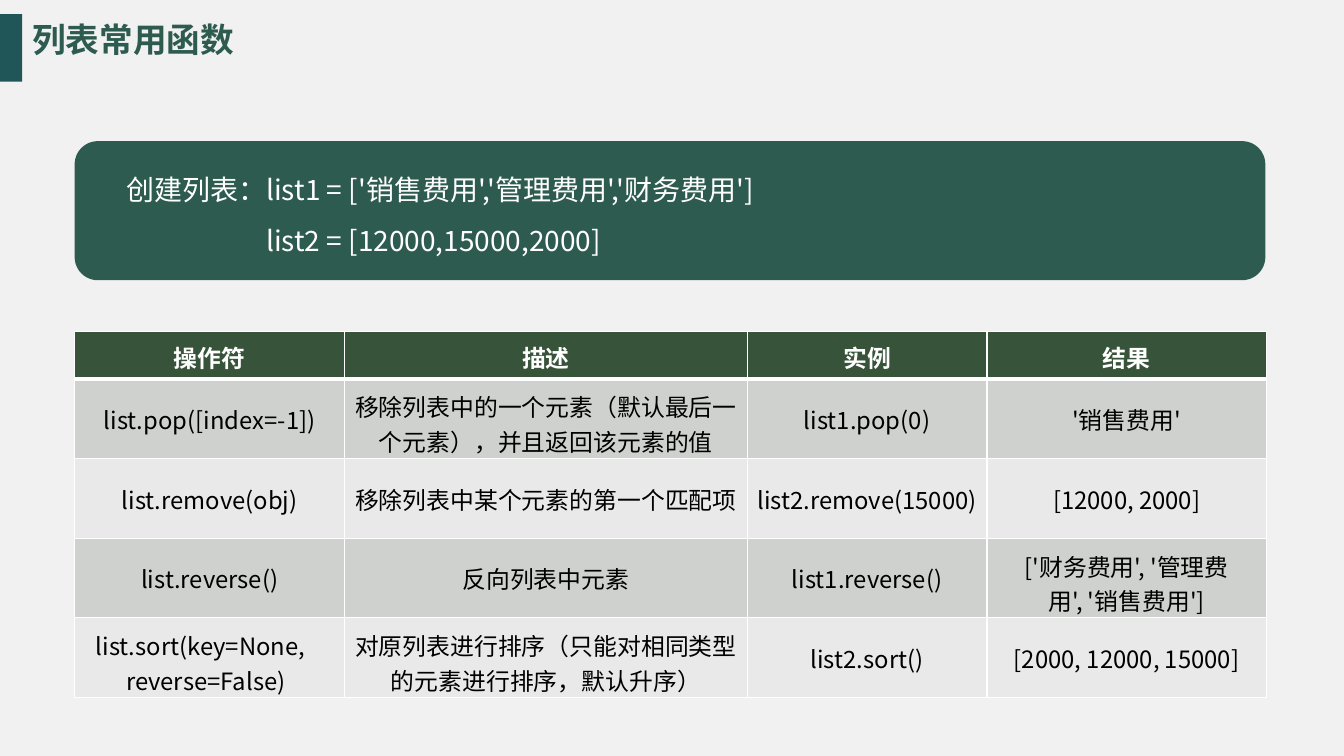
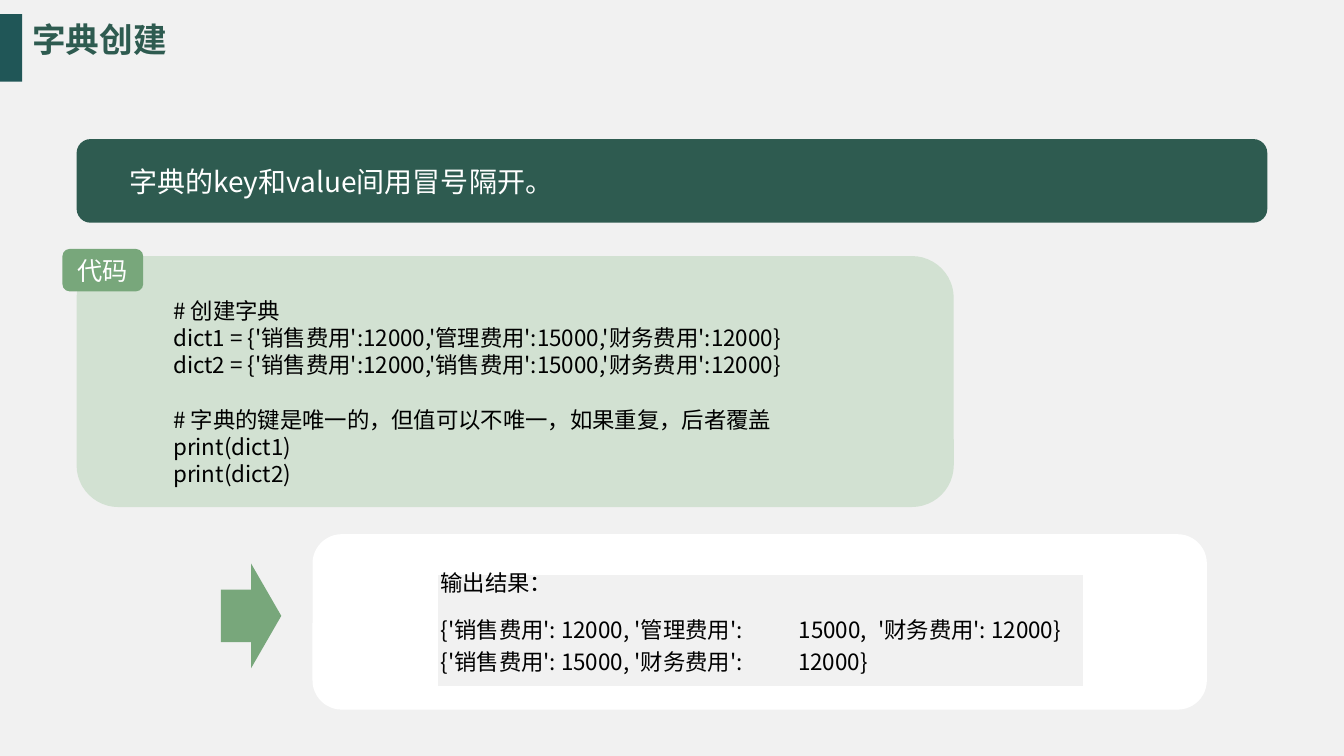
from lxml.etree import SubElement
from pptx import Presentation
from pptx.dml.color import RGBColor
from pptx.enum.shapes import MSO_SHAPE as Shape
from pptx.enum.text import MSO_ANCHOR as Anchor, PP_ALIGN as Align
from pptx.oxml.ns import qn
from pptx.util import Emu, Pt

# Shared look: 100 px to the inch
FONT = "Noto Sans CJK SC"
PAPER, BAR, PINE = "F1F1F1", "205657", "2E5B50"
LEAF, MINT, WHITE, BLACK = "78A77B", "D2E1D2", "FFFFFF", "000000"
HEAD, ODD, EVEN = "375339", "CED1CE", "E8E9E8"
PLAIN = "{2D5ABB26-0587-4C30-8999-92F81FD0307C}"
CORNER = 0.0488  # text inset of a rounded box, as a share of its height

# Slide 1 content
LISTS = {
    "title": "列表常用函数",
    "intro": "创建列表：list1 = ['销售费用','管理费用','财务费用']\n"
             "list2 = [12000,15000,2000]",
    "cols": [268, 399, 238, 277],
    "rows": [47, 79, 79, 79, 79],
    "cells": [
        ["操作符", "描述", "实例", "结果"],
        ["list.pop([index=-1])",
         "移除列表中的一个元素（默认最后一\n个元素），并且返回该元素的值",
         "list1.pop(0)", "'销售费用'"],
        ["list.remove(obj)", "移除列表中某个元素的第一个匹配项",
         "list2.remove(15000)", "[12000, 2000]"],
        ["list.reverse()", "反向列表中元素", "list1.reverse()",
         "['财务费用', '管理费\n用', '销售费用']"],
        ["list.sort(key=None,\nreverse=False)",
         "对原列表进行排序（只能对相同类型\n的元素进行排序，默认升序）",
         "list2.sort()", "[2000, 12000, 15000]"],
    ],
    "hang": {(4, 0): (21, 51)},
}

# Slide 2 content
DICTS = {
    "title": "字典创建",
    "intro": "字典的key和value间用冒号隔开。",
    "tag": "代码",
    "code": [
        "# 创建字典\n"
        "dict1 = {'销售费用':12000,'管理费用':15000,'财务费用':12000}\n"
        "dict2 = {'销售费用':12000,'销售费用':15000,'财务费用':12000}",
        "# 字典的键是唯一的，但值可以不唯一，如果重复，后者覆盖\n"
        "print(dict1)\n"
        "print(dict2)",
    ],
    "cols": [353, 78, 209],
    "rows": [31, 40, 31],
    "leads": [16.9, None, 17.2],
    "cells": [
        ["输出结果：", "", ""],
        ["{'销售费用': 12000, '管理费用':", "15000,", "'财务费用': 12000}"],
        ["{'销售费用': 15000, '财务费用':", "12000}", ""],
    ],
}


def px(n):
    return Emu(round(n * 9144))


def rgb(code):
    return RGBColor.from_string(code)


def inset(box, left=0, top=0):
    box.margin_left, box.margin_top = px(left), px(top)
    box.margin_right = box.margin_bottom = 0


def write(frame, text, size, color, bold=False, align=Align.LEFT,
          lead=None, lefts=()):
    """Fill a frame; lefts holds one indent for each paragraph."""
    frame.text = text
    for i, para in enumerate(frame.paragraphs):
        para.alignment = align
        if lead:
            para.line_spacing = Pt(lead)
        if lefts:
            ppr = para._p.get_or_add_pPr()
            ppr.set("marL", str(px(lefts[i])))
            ppr.set("indent", "0")
        font = para.font
        font.size, font.bold, font.name = Pt(size), bold, FONT
        font.color.rgb = rgb(color)
        props = para._p.pPr.find(qn("a:defRPr"))
        SubElement(props, qn("a:ea")).set("typeface", FONT)


def block(slide, kind, at, fill):
    shape = slide.shapes.add_shape(kind, *map(px, at))
    shape.shadow.inherit = False
    shape.fill.solid()
    shape.fill.fore_color.rgb = rgb(fill)
    shape.line.fill.background()
    return shape


def panel(slide, at, fill, text="", size=20, color=WHITE, pad=(0, 0), **look):
    """Rounded box with its text at pad from the top left corner."""
    shape = block(slide, Shape.ROUNDED_RECTANGLE, at, fill)
    if text:
        frame, trim = shape.text_frame, at[3] * CORNER
        frame.word_wrap = True
        frame.vertical_anchor = Anchor.TOP
        inset(frame, pad[0] - trim, pad[1] - trim)
        write(frame, text, size, color, **look)
    return shape


def grid(slide, left, top, data):
    """Unstyled table; returns it for the caller to fill."""
    cols, rows = data["cols"], data["rows"]
    size = left, top, sum(cols), sum(rows)
    table = slide.shapes.add_table(len(rows), len(cols),
                                   *map(px, size)).table
    table._tbl.tblPr.find(qn("a:tableStyleId")).text = PLAIN
    for col, width in zip(table.columns, cols):
        col.width = px(width)
    for row, height in zip(table.rows, rows):
        row.height = px(height)
    return table


def paint(cell, fill):
    cell.fill.solid()
    cell.fill.fore_color.rgb = rgb(fill)


def edge(cell, **widths):
    """White borders, widths in points by side."""
    props = cell._tc.get_or_add_tcPr()
    for side in "LRTB":
        line = SubElement(props, qn(f"a:ln{side}"))
        line.set("w", str(Pt(widths.get(side, 1))))
        ink = SubElement(line, qn("a:solidFill"))
        SubElement(ink, qn("a:srgbClr")).set("val", WHITE)


def page(deck, layout, title):
    slide = deck.slides.add_slide(layout)
    head = slide.shapes.title
    frame = head.text_frame
    frame.vertical_anchor = Anchor.TOP
    inset(frame)
    write(frame, title, 24, PINE, bold=True)
    return slide


def lists(slide, data):
    panel(slide, (74, 140, 1181, 138), PINE, data["intro"],
          pad=(51, 14), lead=36.4, lefts=(0, 139))
    table = grid(slide, 74, 329, data)
    for r, row in enumerate(data["cells"]):
        fill = HEAD if r == 0 else ODD if r % 2 else EVEN
        for c, text in enumerate(row):
            cell = table.cell(r, c)
            edge(cell, B=1 if r else 3, T=3 if r == 1 else 1)
            paint(cell, fill)
            inset(cell, top=3 if r == 0 else 10 if "\n" in text else 1)
            cell.vertical_anchor = Anchor.MIDDLE
            hang = data["hang"].get((r, c), ())
            write(cell.text_frame, text, 17, BLACK if r else WHITE,
                  bold=r == 0, lefts=hang,
                  align=Align.LEFT if hang else Align.CENTER)


def dicts(slide, data):
    panel(slide, (76, 138, 1181, 83), PINE, data["intro"], pad=(52, 25))

    # Code panel: a gap of one line parts the two halves
    code = panel(slide, (76, 254, 870, 249), MINT, "\n".join(data["code"]),
                 16, BLACK, pad=(96, 41), lead=19.3)
    half = len(data["code"][0].split("\n"))
    code.text_frame.paragraphs[half].space_before = Pt(19.6)
    tag = panel(slide, (62, 247, 80, 42), LEAF, data["tag"], 18,
                align=Align.CENTER)
    inset(tag.text_frame)
    tag.text_frame.vertical_anchor = Anchor.MIDDLE

    # Output panel
    panel(slide, (310, 530, 887, 174), WHITE)
    table = grid(slide, 434, 570, data)
    for r, (row, lead) in enumerate(zip(data["cells"], data["leads"])):
        for c, text in enumerate(row):
            cell = table.cell(r, c)
            paint(cell, PAPER)
            inset(cell, (3, 0, 6)[c], 6 if r else 0)
            write(cell.text_frame, text, 16, BLACK, lead=lead,
                  align=Align.CENTER if c == 1 else Align.LEFT)
    table.cell(0, 1).merge(table.cell(0, 2))
    block(slide, Shape.RIGHT_ARROW, (219, 559, 60, 104), LEAF)


def main():
    deck = Presentation()
    deck.slide_width, deck.slide_height = px(1333), px(750)
    ground = deck.slide_master.background.fill
    ground.solid()
    ground.fore_color.rgb = rgb(PAPER)

    # Title place and side bar live on the layout
    layout = deck.slide_layouts[5]
    head = layout.placeholders[0]
    head.left, head.top, head.width, head.height = map(px, (32, 19, 1200, 48))
    first = page(deck, layout, LISTS["title"])
    bar = block(first, Shape.RECTANGLE, (0, 14, 22, 67), BAR)
    layout.shapes.element.append(bar.element)

    lists(first, LISTS)
    dicts(page(deck, layout, DICTS["title"]), DICTS)
    deck.save("out.pptx")


if __name__ == "__main__":
    main()
